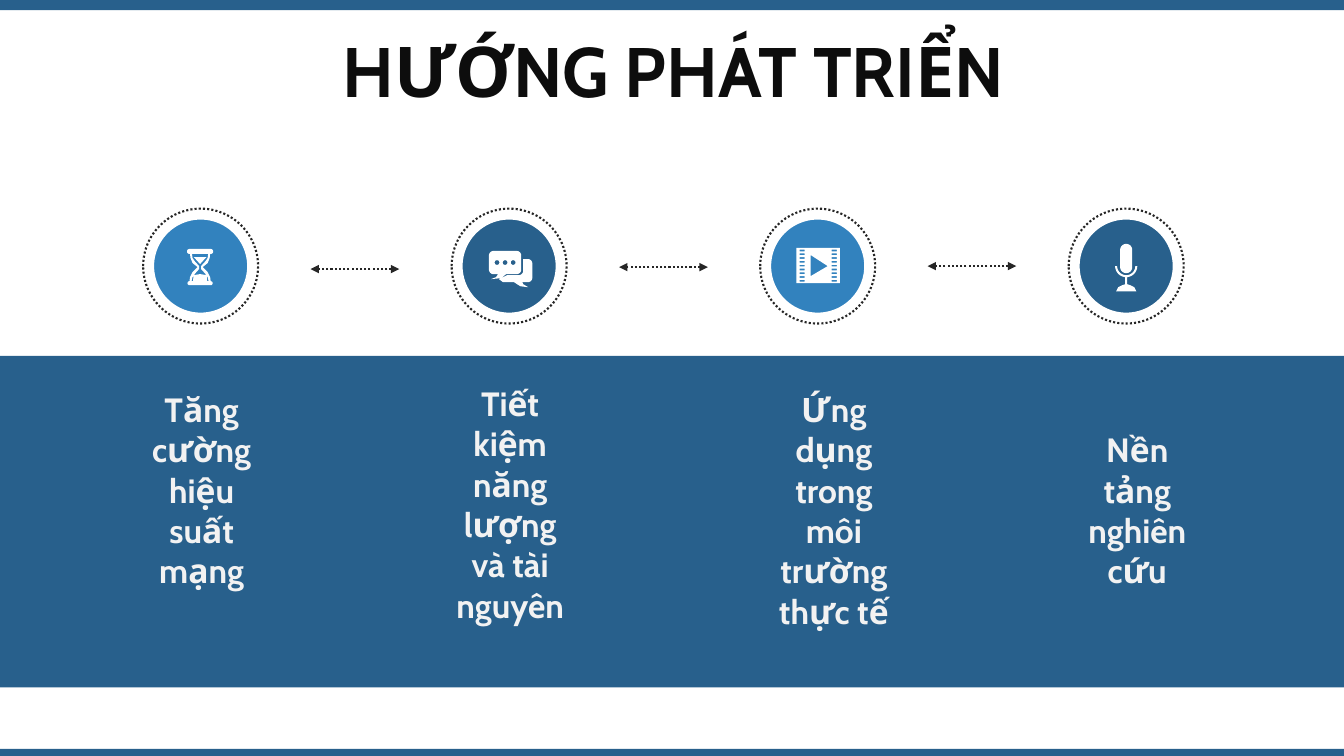
import math
import pptx
import pptx.util
import pptx.dml.color
import pptx.enum.dml
import pptx.enum.shapes
import pptx.enum.text
import pptx.oxml
import pptx.oxml.ns

UNIT = 9144  # EMU in one px, 100 px to the inch
WIDE, HIGH = 1333, 750
NAVY, BLUE, WHITE = "28608C", "3282BE", "FFFFFF"
DARK, INK, PALE = "262626", "0D0D0D", "F2F2F2"
FIRST, STEP, MID = 199, 306, 264  # centre of first circle, pitch, row height

KIND = pptx.enum.shapes.MSO_SHAPE
ANCHOR = pptx.enum.text.MSO_ANCHOR
DOTS = pptx.enum.dml.MSO_LINE.ROUND_DOT

# text, left, top, height
ITEMS = [
    ("Tăng cường hiệu suất mạng", 125, 381, 252),
    ("Tiết kiệm năng lượng và tài nguyên", 431, 375, 293),
    ("Ứng dụng trong môi trường thực tế", 752, 381, 293),
    ("Nền tảng nghiên cứu", 1053, 421, 212),
]


def px(*sizes):
    return [round(size * UNIT) for size in sizes]


def color(code):
    return pptx.dml.color.RGBColor.from_string(code)


def paint(shape, fill=None, line=None, width=1.5, dash=None):
    shape.shadow.inherit = False
    if fill:
        shape.fill.solid()
        shape.fill.fore_color.rgb = color(fill)
    else:
        shape.fill.background()
    if line:
        stroke(shape, line, width, dash)
    else:
        shape.line.fill.background()


def stroke(shape, line, width, dash):
    shape.line.color.rgb = color(line)
    shape.line.width = pptx.util.Pt(width)
    if dash:
        shape.line.dash_style = dash


def add_bar(slide, top, height):
    bar = slide.shapes.add_shape(KIND.RECTANGLE, *px(0, top, WIDE, height))
    paint(bar, NAVY)


def add_disc(slide, mid, size, **style):
    half = size / 2
    disc = slide.shapes.add_shape(
        KIND.OVAL, *px(mid - half, MID - half, size, size))
    paint(disc, **style)


def add_arrow(slide, left, top):
    arrow = slide.shapes.add_connector(
        pptx.enum.shapes.MSO_CONNECTOR.STRAIGHT, *px(left + 88, top, left, top))
    stroke(arrow, DARK, 1.5, DOTS)
    props = arrow._element.spPr
    line = props.find(pptx.oxml.ns.qn("a:ln"))
    space = pptx.oxml.ns.nsdecls("a")
    for end in ("headEnd", "tailEnd"):
        line.append(pptx.oxml.parse_xml(f'<a:{end} {space} type="triangle"/>'))
    props.append(pptx.oxml.parse_xml(f"<a:effectLst {space}/>"))


def add_text(slide, text, box, size, tint, anchor=ANCHOR.TOP,
             space=None, before=None):
    frame = slide.shapes.add_textbox(*px(*box)).text_frame
    frame.word_wrap = True
    frame.vertical_anchor = anchor
    para = frame.paragraphs[0]
    para.alignment = pptx.enum.text.PP_ALIGN.CENTER
    if space:
        para.line_spacing = space
    if before:
        para.space_before = pptx.util.Pt(before)
    run = para.add_run()
    run.text = text
    run.font.name = "Cabin"
    run.font.size = pptx.util.Pt(size)
    run.font.bold = True
    run.font.color.rgb = color(tint)


def arc(x, y, r, start, stop):
    """Points on a circle, angles in degrees, clockwise from the right."""
    turns = [math.radians(start + (stop - start) * i / 12) for i in range(13)]
    return [(x + r * math.cos(t), y + r * math.sin(t)) for t in turns]


def round_box(left, top, right, low, r, tail=()):
    """Rounded box whose lower edge may carry the points of a tail."""
    return (arc(left + r, top + r, r, 180, 270)
            + arc(right - r, top + r, r, 270, 360)
            + arc(right - r, low - r, r, 0, 90) + list(tail)
            + arc(left + r, low - r, r, 90, 180))


def box(left, top, width, height):
    right, low = left + width, top + height
    return [(left, top), (right, top), (right, low), (left, low)]


def mirror(mid, half):
    """Close a right half with its reflection about x = mid."""
    return half + [(2 * mid - x, y) for x, y in reversed(half)]


def add_icon(slide, rings):
    """Draw all rings as one outline; nested rings become holes."""
    rings = [[tuple(px(x, y)) for x, y in ring] for ring in rings]
    pen = slide.shapes.build_freeform(*rings[0][0], scale=1.0)
    for ring in rings:
        pen.move_to(*ring[0])
        pen.add_line_segments(ring[1:], close=True)
    paint(pen.convert_to_shape(), WHITE)


def glass():
    frame = (arc(209, 249.5, 2.5, -90, 90)
             + [(208.5, 252), (208, 256), (206, 261), (201, 265),
                (206, 270), (208.5, 275), (209, 279)]
             + arc(209, 281, 2, -90, 90))
    hole = [(206.5, 252), (206, 256), (204, 259), (199.5, 264),
            (199.5, 267), (204, 272), (206, 275), (207, 279)]
    sand = [(205, 255), (203, 257), (198.5, 262)]
    heap = [(198.5, 272), (205, 273), (205.5, 279)]
    return [mirror(198.5, half) for half in (frame, hole, sand, heap)]


def chat():
    front = round_box(485, 249, 517, 272, 4.5,
                      [(502, 272), (497, 276), (487, 277), (492, 275), (494, 272)])
    back = ([(519, 257)] + arc(523.5, 261.5, 4.5, -90, 0)
            + arc(523.5, 275.5, 4.5, 0, 90)
            + [(518, 280), (519, 282), (524, 285), (516, 284), (510, 280),
               (499, 280), (495, 277), (503, 273)]
            + arc(514.5, 268.5, 4.5, 90, 0))
    return [front, back] + [arc(x, 260.5, 2.4, 0, 360) for x in (493, 501, 509)]


def film():
    holes = [box(x, 247.7 + 3.75 * row, 5, 1.7)
             for x in (793, 825) for row in range(9)]
    play = [(804, 253), (804, 274), (821, 264)]
    return [box(790, 246, 43, 35), play] + holes


def mike():
    stand = (arc(1117, 264, 9, 90, 0) + arc(1117, 264, 11, 0, 85)
             + [(1118, 282), (1121, 283), (1125, 285), (1127, 289)])
    return [round_box(1111, 242, 1123, 271, 6), mirror(1117, stand)]


def main():
    deck = pptx.Presentation()
    deck.slide_width, deck.slide_height = px(WIDE, HIGH)
    slide = deck.slides.add_slide(deck.slide_layouts[6])

    for top, height in ((0, 10), (743, 7), (353, 329)):
        add_bar(slide, top, height)
    for text, left, top, height in ITEMS:
        add_text(slide, text, (left, top, 150, height), 24, PALE)
    for col, icon in enumerate((glass, chat, film, mike)):
        mid = FIRST + STEP * col
        add_disc(slide, mid, 94, fill=(BLUE, NAVY)[col % 2],
                 line=WHITE, width=1.25)
        add_disc(slide, mid, 114, line=DARK, dash=DOTS)
        add_icon(slide, icon())
    for col, top in enumerate((267, 265, 264)):
        add_arrow(slide, 308 + STEP * col, top)
    add_text(slide, "HƯỚNG PHÁT TRIỂN", (35, 37, 1266, 79), 50, INK,
             anchor=ANCHOR.MIDDLE, space=0.8, before=10)

    deck.save("out.pptx")


if __name__ == "__main__":
    main()
